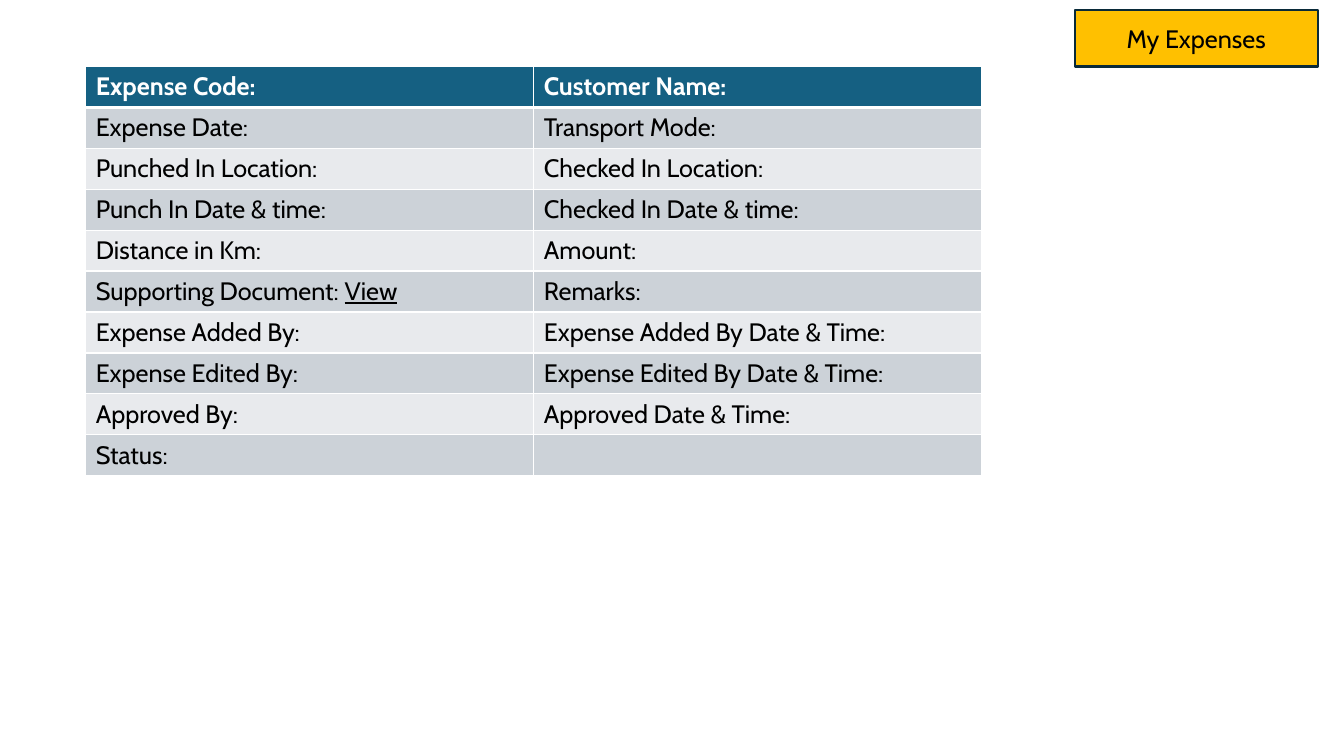
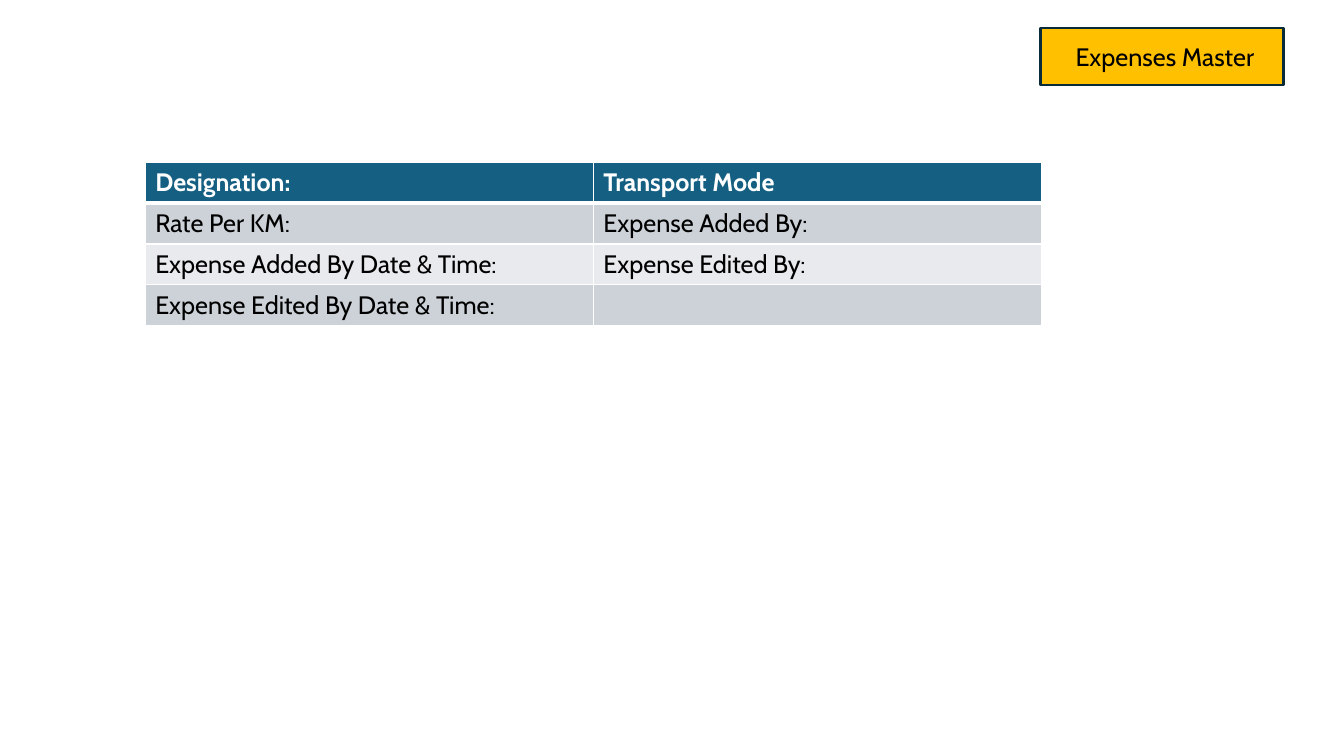
from dataclasses import dataclass

from lxml.etree import SubElement
from pptx import Presentation
from pptx.dml.color import RGBColor as Rgb
from pptx.enum.text import MSO_ANCHOR as Anchor
from pptx.enum.text import MSO_AUTO_SIZE as Fit
from pptx.enum.text import PP_ALIGN as Align
from pptx.oxml.ns import qn
from pptx.util import Inches, Pt

FONT = "Cabin"
COLORS = {
    "white": "FFFFFF",
    "black": "000000",
    "head": "156082",
    "dark": "CCD2D8",
    "light": "E8EAED",
    "gold": "FFC000",
    "edge": "092A39",
}
MARK = "|"


@dataclass(frozen=True)
class Box:
    left: float
    top: float
    width: float
    height: float

    def spans(self) -> tuple:
        return tuple(map(Inches, (self.left, self.top, self.width, self.height)))


@dataclass(frozen=True)
class Page:
    title: str
    tag: Box
    grid: Box
    rows: list


PAGES = [
    Page(
        "My Expenses",
        Box(10.66, 0.1, 2.41, 0.56),
        Box(0.85, 0.66, 8.89, 4.06),
        [
            ("Expense Code:", "Customer Name:"),
            ("Expense Date:", "Transport Mode:"),
            ("Punched In Location:", "Checked In Location:"),
            ("Punch In Date & time:", "Checked In Date & time:"),
            ("Distance in Km:", "Amount:"),
            ("Supporting Document: |View", "Remarks:"),
            ("Expense Added By:", "Expense Added By Date & Time:"),
            ("Expense Edited By:", "Expense Edited By Date & Time:"),
            ("Approved By:", "Approved Date & Time:"),
            ("Status:", ""),
        ],
    ),
    Page(
        " Expenses Master",
        Box(10.32, 0.28, 2.41, 0.56),
        Box(1.44, 1.61, 8.89, 1.62),
        [
            ("Designation:", "Transport Mode"),
            ("Rate Per KM:", "Expense Added By:"),
            ("Expense Added By Date & Time:", "Expense Edited By:"),
            ("Expense Edited By Date & Time:", ""),
        ],
    ),
]


def paint(fill, name: str) -> None:
    fill.solid()
    fill.fore_color.rgb = Rgb.from_string(COLORS[name])


def write(frame, text: str, *, color: str = "black", size: float = 18,
          bold: bool = False, under: bool = False, align=Align.LEFT) -> None:
    para = frame.paragraphs[0]
    para.alignment = align
    run = para.add_run()
    run.text = text
    font = run.font
    font.name, font.size = FONT, Pt(size)
    font.bold, font.underline = bold, under
    font.color.rgb = Rgb.from_string(COLORS[color])


def rule(cell, side: str, width: float) -> None:
    props = cell._tc.get_or_add_tcPr()
    line = SubElement(props, qn(f"a:ln{side}"), w=str(Pt(width)))
    fill = SubElement(line, qn("a:solidFill"))
    SubElement(fill, qn("a:srgbClr"), val=COLORS["white"])


def draw_tag(slide, page: Page) -> None:
    tag = slide.shapes.title
    tag.left, tag.top, tag.width, tag.height = page.tag.spans()
    paint(tag.fill, "gold")
    paint(tag.line.fill, "edge")
    tag.line.width = Pt(1.5)
    frame = tag.text_frame
    frame.auto_size = Fit.NONE
    frame.word_wrap = True
    frame.vertical_anchor = Anchor.MIDDLE
    write(frame, page.title, align=Align.CENTER)


def draw_cell(cell, text: str, row: int) -> None:
    head = row == 0
    widths = {"L": 1, "R": 1, "T": 3 if row == 1 else 1, "B": 3 if head else 1}
    for side, width in widths.items():
        rule(cell, side, width)
    paint(cell.fill, "head" if head else "dark" if row % 2 else "light")
    plain, _, link = text.partition(MARK)
    if plain:
        write(cell.text_frame, plain, color="white" if head else "black", bold=head)
    if link:
        write(cell.text_frame, link, under=True)


def draw_grid(slide, page: Page) -> None:
    rows = page.rows
    table = slide.shapes.add_table(len(rows), len(rows[0]), *page.grid.spans()).table
    table.horz_banding = False
    for row, texts in enumerate(rows):
        for col, text in enumerate(texts):
            draw_cell(table.cell(row, col), text, row)


def main() -> None:
    deck = Presentation()
    deck.slide_width, deck.slide_height = Inches(13.33), Inches(7.5)
    layout = deck.slide_layouts.get_by_name("Title Only")
    for page in PAGES:
        slide = deck.slides.add_slide(layout)
        draw_grid(slide, page)
        draw_tag(slide, page)
    deck.save("out.pptx")


if __name__ == "__main__":
    main()
